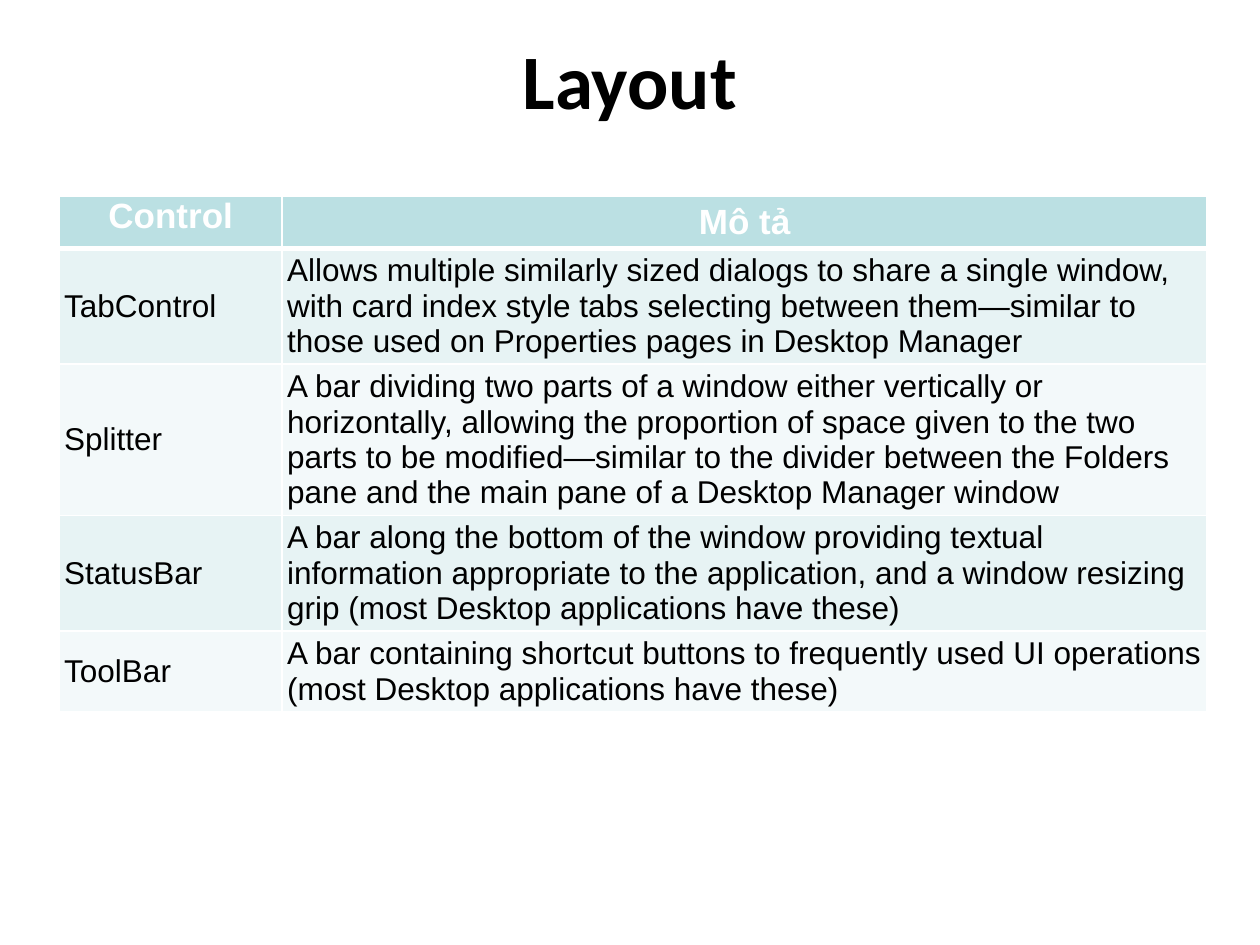
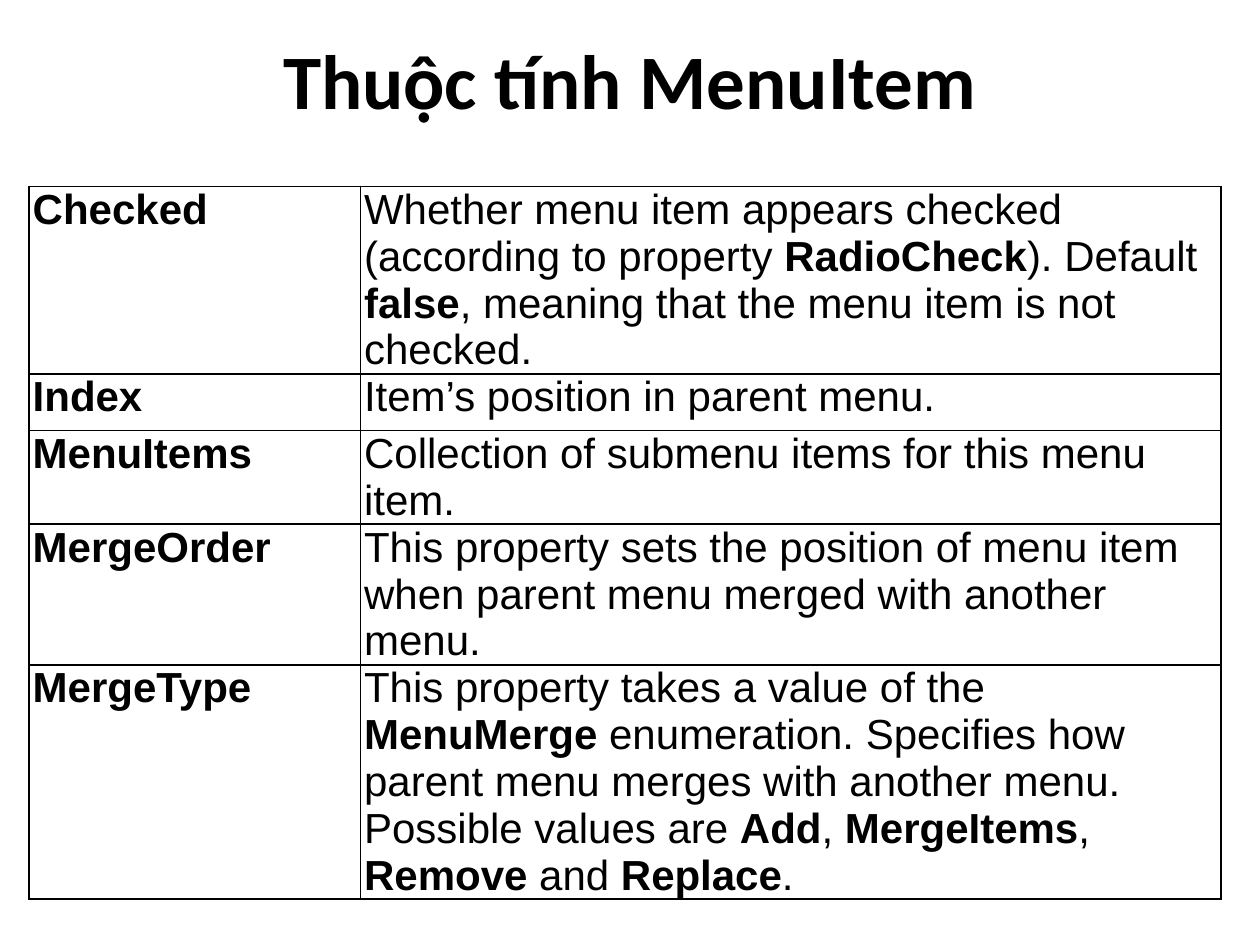
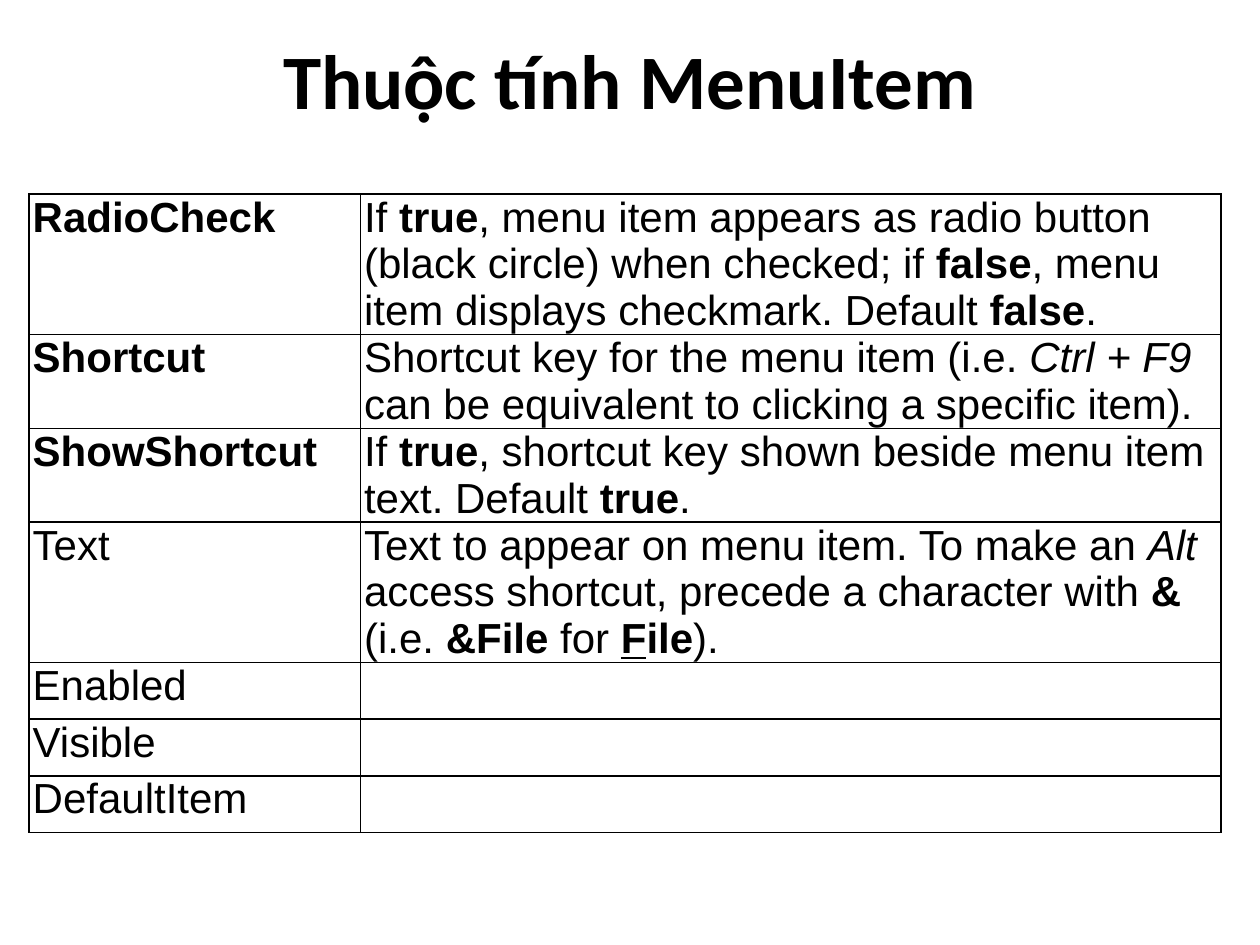
"""Build three slides of control and menu item reference tables."""
from lxml.etree import SubElement
from pptx import Presentation
from pptx.dml.color import RGBColor
from pptx.enum.text import MSO_ANCHOR as Anchor, PP_ALIGN as Align
from pptx.oxml.ns import qn
from pptx.util import Inches, Pt

BLACK = RGBColor(0x00, 0x00, 0x00)
WHITE = RGBColor(0xFF, 0xFF, 0xFF)
HEADER = RGBColor(0xBB, 0xE0, 0xE3)
BANDS = [RGBColor(0xF3, 0xF9, 0xFA), RGBColor(0xE7, 0xF3, 0xF4)]

MENU_TITLE = "Thuộc tính MenuItem"
MENU_GRID = {"left": 0.23, "columns": [2.63, 6.83], "row_height": 0.45, "line": BLACK}
LAYOUT_GRID = {"left": 0.47, "columns": [1.77, 7.34], "row_height": 0.41, "line": WHITE}

SECTIONS = [
    ("Layout", LAYOUT_GRID, 1.56, 4.37, [
        ("*Control", "*Mô tả"),
        ("TabControl", "Allows multiple similarly sized dialogs to share a single window, with card "
         "index style tabs selecting between them—similar to those used on Properties pages in "
         "Desktop Manager"),
        ("Splitter", "A bar dividing two parts of a window either vertically or horizontally, "
         "allowing the proportion of space given to the two parts to be modified—similar to the "
         "divider between the Folders pane and the main pane of a Desktop Manager window"),
        ("StatusBar", "A bar along the bottom of the window providing textual information "
         "appropriate to the application, and a window resizing grip (most Desktop applications "
         "have these)"),
        ("ToolBar", "A bar containing shortcut buttons to frequently used UI operations (most "
         "Desktop applications have these)"),
    ]),
    (MENU_TITLE, MENU_GRID, 1.48, 6.05, [
        ("*Checked", "Whether menu item appears checked (according to property |*RadioCheck|). "
         "Default |*false|, meaning that the menu item is not checked."),
        ("*Index", "Item’s position in parent menu."),
        ("*MenuItems", "Collection of submenu items for this menu item."),
        ("*MergeOrder", "This property sets the position of menu item when parent menu merged "
         "with another menu."),
        ("*MergeType", "This property takes a value of the |*MenuMerge| enumeration. Specifies how "
         "parent menu merges with another menu. Possible values are |*Add|, |*MergeItems|, "
         "|*Remove| and |*Replace|."),
    ]),
    (MENU_TITLE, MENU_GRID, 1.54, 5.36, [
        ("*RadioCheck", "If |*true|, menu item appears as radio button (black circle) when "
         "checked; if |*false|, menu item displays checkmark. Default |*false|."),
        ("*Shortcut", "Shortcut key for the menu item (i.e. |~Ctrl + F9| can be equivalent to "
         "clicking a specific item)."),
        ("*ShowShortcut", "If |*true|, shortcut key shown beside menu item text. "
         "Default |*true|."),
        ("Text", "Text to appear on menu item. To make an |~Alt| access shortcut, precede a "
         "character with |*&| (i.e. |*&File| for |*_F|*ile|)."),
        ("Enabled", ""),
        ("Visible", ""),
        ("DefaultItem", ""),
    ]),
]


def write(frame, text, size, color=BLACK, font="Arial", align=Align.LEFT):
    """Write runs split by bars, led by * for bold, ~ for italic, _ for underline."""
    paragraph = frame.paragraphs[0]
    paragraph.alignment = align
    for part in text.split("|"):
        words = part.lstrip("*~_")
        marks = part[:len(part) - len(words)]
        run = paragraph.add_run()
        run.text = words
        run.font.name, run.font.size, run.font.color.rgb = font, Pt(size), color
        run.font.bold, run.font.italic = "*" in marks, "~" in marks
        run.font.underline = "_" in marks


def draw_borders(cell, color, top=1, bottom=1):
    """Rule the four sides of a cell, with widths in points."""
    for side, width in {"L": 1, "R": 1, "T": top, "B": bottom}.items():
        edge = SubElement(cell._tc.get_or_add_tcPr(), qn(f"a:ln{side}"), w=str(Pt(width)))
        SubElement(SubElement(edge, qn("a:solidFill")), qn("a:srgbClr"), val=str(color))


deck = Presentation()
deck.slide_width, deck.slide_height = Inches(10), Inches(7.5)

for heading, grid, top, height, entries in SECTIONS:
    slide = deck.slides.add_slide(deck.slide_layouts[5])
    title = slide.shapes.title
    title.left, title.top = Inches(0.5), 0
    title.width, title.height = Inches(9), Inches(1.25)
    title.text_frame.vertical_anchor = Anchor.MIDDLE
    write(title.text_frame, "*" + heading, 44, font="Calibri", align=Align.CENTER)

    holder = slide.shapes.add_table(
        len(entries), 2, Inches(grid["left"]), Inches(top),
        Inches(sum(grid["columns"])), Inches(grid["row_height"] * len(entries)))
    table = holder.table
    table.first_row = table.horz_banding = False
    for column, width in zip(table.columns, grid["columns"]):
        column.width = Inches(width)

    banded = grid is LAYOUT_GRID
    for row, entry in enumerate(entries):
        table.rows[row].height = Inches(grid["row_height"])
        for column, text in enumerate(entry):
            cell = table.cell(row, column)
            is_header = banded and row == 0
            draw_borders(cell, grid["line"], top=3 if banded and row == 1 else 1,
                         bottom=3 if is_header else 1)
            if banded:
                cell.fill.solid()
                cell.fill.fore_color.rgb = HEADER if is_header else BANDS[row % 2]
            else:
                cell.fill.background()

            if is_header:
                if column == 0:
                    cell.margin_left = cell.margin_right = cell.margin_top = cell.margin_bottom = 0
                write(cell.text_frame, text, 20, WHITE, align=Align.CENTER)
            elif banded:
                cell.vertical_anchor = Anchor.MIDDLE
                cell.margin_left = cell.margin_right = Inches(0.04)
                cell.margin_top = cell.margin_bottom = Inches(0.04)
                write(cell.text_frame, text, 18)
            elif text:
                cell.margin_left = Inches(0.03)
                cell.margin_right = cell.margin_top = cell.margin_bottom = 0
                write(cell.text_frame, text, 24)
    if heading == MENU_TITLE and entries[0][0] == "*Checked":
        table.rows[0].height = Inches(1.36)
    holder.height = Inches(height)

deck.save("out.pptx")
